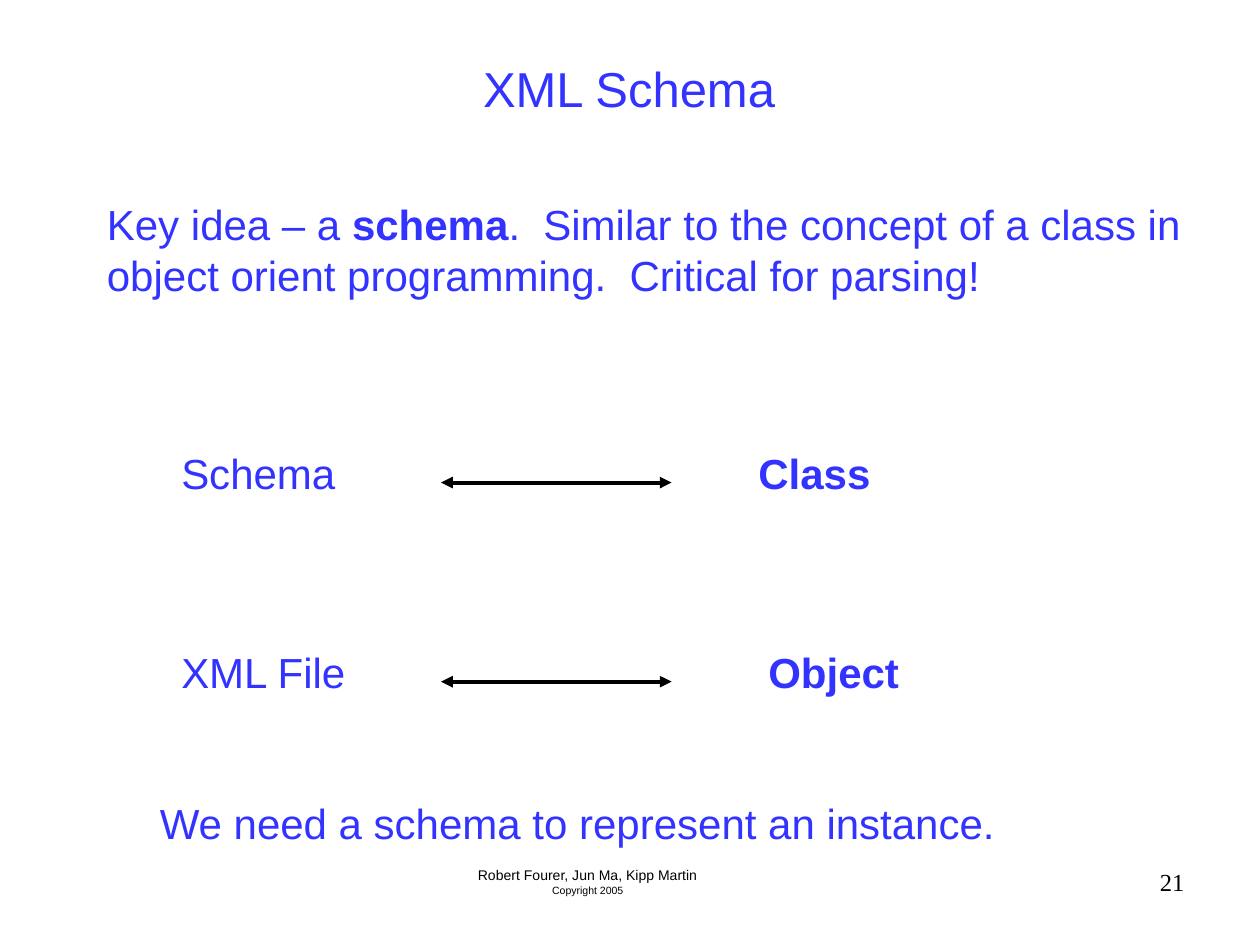
from lxml import etree
from pptx import Presentation
from pptx.dml.color import RGBColor
from pptx.enum import shapes, text
from pptx.oxml import ns
from pptx.util import Inches, Pt

BLUE = RGBColor(0x33, 0x33, 0xFF)
BLACK = RGBColor(0, 0, 0)
LEFT, CENTER, RIGHT = text.PP_ALIGN.LEFT, text.PP_ALIGN.CENTER, text.PP_ALIGN.RIGHT


def place(shape, left, top, width, height):
    """Move and size a shape, in inches."""
    shape.left, shape.top = Inches(left), Inches(top)
    shape.width, shape.height = Inches(width), Inches(height)


def add_run(paragraph, content, size=24, color=BLUE, bold=False, font="Arial"):
    """Append formatted text to a paragraph."""
    run = paragraph.add_run()
    run.text = content
    run.font.name, run.font.size, run.font.bold = font, Pt(size), bold
    run.font.color.rgb = color


def prepare_frame(shape, wrap=False):
    """Set up and return the text frame of a shape."""
    frame = shape.text_frame
    frame.word_wrap = wrap
    frame.auto_size = text.MSO_AUTO_SIZE.NONE
    frame.vertical_anchor = text.MSO_ANCHOR.TOP
    return frame


def add_text(slide, box, lines, align=LEFT, wrap=False):
    """Add a text box; each line is a list of (text, format) runs."""
    shape = slide.shapes.add_textbox(*map(Inches, box))
    frame = prepare_frame(shape, wrap)
    for index, runs in enumerate(lines):
        paragraph = frame.add_paragraph() if index else frame.paragraphs[0]
        paragraph.alignment = align
        for content, style in runs:
            add_run(paragraph, content, **style)


def add_title(slide, box):
    """Fill the title placeholder."""
    title = slide.shapes.title
    place(title, *box)
    paragraph = prepare_frame(title).paragraphs[0]
    paragraph.alignment = CENTER
    add_run(paragraph, "XML Schema", size=28)
    add_run(paragraph, " ", size=40)


def add_double_arrow(slide, left, top, length):
    """Draw a horizontal line with an arrowhead at each end."""
    arrow = slide.shapes.add_connector(
        shapes.MSO_CONNECTOR.STRAIGHT,
        Inches(left), Inches(top), Inches(left + length), Inches(top))
    arrow.line.color.rgb = BLACK
    arrow.line.width = Pt(2.25)
    line = arrow.line._get_or_add_ln()
    for end in ("a:headEnd", "a:tailEnd"):
        etree.SubElement(line, ns.qn(end), type="triangle")
    etree.SubElement(arrow._element.spPr, ns.qn("a:effectLst"))


def add_match(slide, top, xml_term, class_term, class_left, class_width):
    """Add one row that pairs an XML term with its programming term."""
    add_text(slide, (1.34, top, 1.51, 0.5), [[(xml_term, {})]])
    add_text(slide, (class_left, top, class_width, 0.5),
             [[(class_term, {"bold": True})]])
    add_double_arrow(slide, 3.5, top + 0.33, 1.83)


def add_footer(slide, top):
    """Add the authors, the copyright line and the page number."""
    add_text(slide, (3, top, 3.33, 0.5), [
        [("Robert Fourer, Jun Ma, Kipp Martin", {"size": 8, "color": BLACK})],
        [("Copyright 2005", {"size": 6, "color": BLACK})],
    ], align=CENTER, wrap=True)
    number_style = {"size": 14, "color": BLACK, "font": "Times New Roman"}
    add_text(slide, (7.17, top, 2.33, 0.52), [[("21", number_style)]],
             align=RIGHT, wrap=True)


def main():
    """Build and save the slide."""
    presentation = Presentation()
    presentation.slide_width, presentation.slide_height = Inches(10), Inches(7.5)
    slide = presentation.slides.add_slide(presentation.slide_layouts[5])
    add_title(slide, (3.73, 0.25, 2.68, 0.77))
    add_text(slide, (0.75, 1.53, 8.81, 0.9), [
        [("Key idea – a ", {}), ("schema", {"bold": True}),
         (".  Similar to the concept of a class in", {})],
        [("object orient programming.  Critical for parsing!", {})],
    ])
    add_match(slide, 3.5, "Schema", "Class", 5.92, 1.09)
    add_match(slide, 5.08, "XML File", "Object", 6, 1.24)
    add_text(slide, (1.17, 6.28, 6.83, 0.5),
             [[("We need a schema to represent an instance.", {})]])
    add_footer(slide, 6.83)
    presentation.save("out.pptx")


if __name__ == "__main__":
    main()
